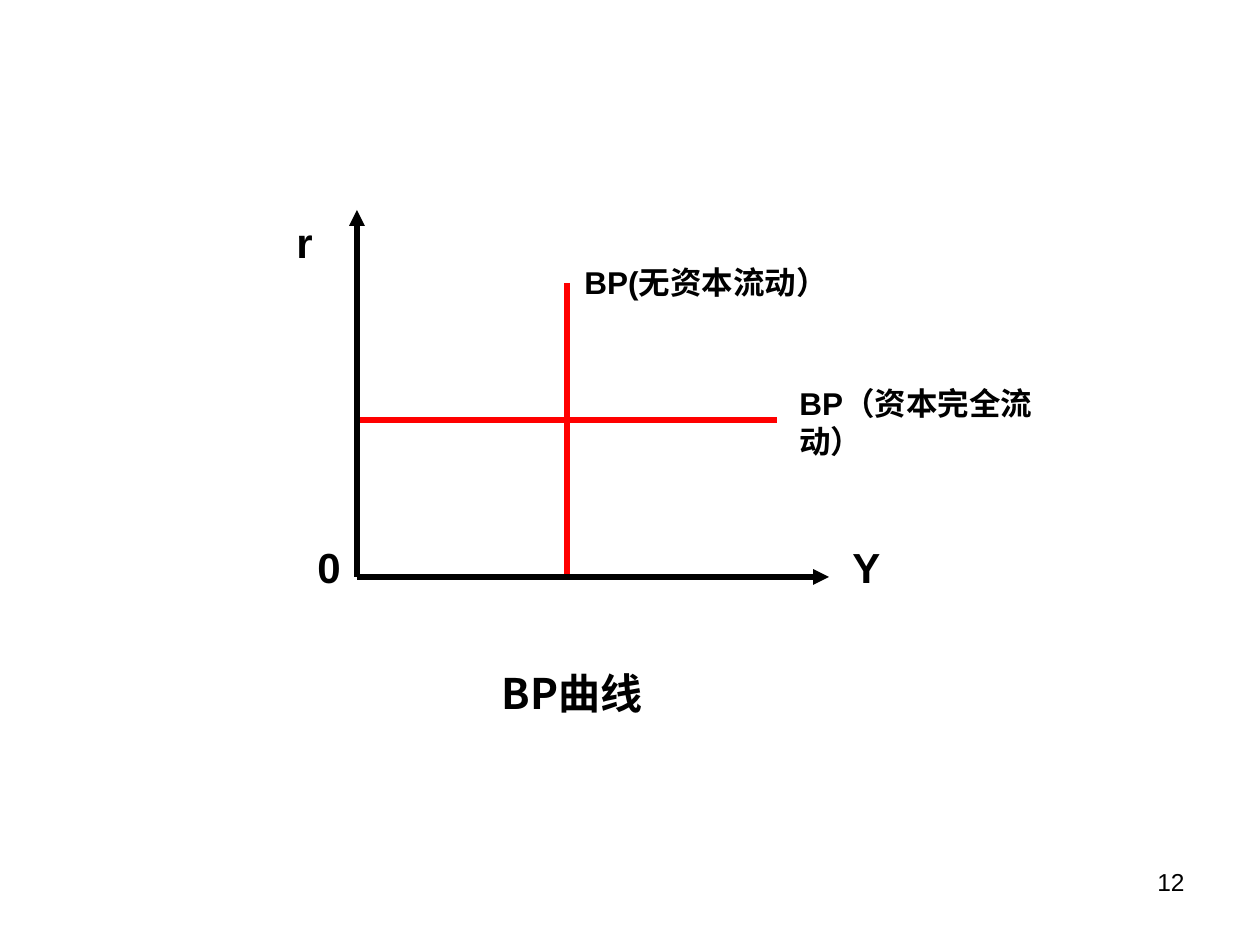
from pptx import Presentation
from pptx.dml.color import RGBColor
from pptx.enum.shapes import MSO_CONNECTOR
from pptx.enum.text import MSO_ANCHOR, MSO_AUTO_SIZE, PP_ALIGN
from pptx.oxml.ns import qn
from pptx.util import Emu, Pt
from lxml.etree import SubElement

BLACK = "000000"
RED = "FF0000"
CJK = "Noto Sans CJK SC"


def px(length):
    return Emu(round(length * 914400 / 126))


def color(value):
    return RGBColor.from_string(value)


def write(frame, text, size=24, font="Arial", bold=True, align=PP_ALIGN.LEFT, wrap=True):
    frame.word_wrap = wrap
    frame.auto_size = MSO_AUTO_SIZE.NONE
    frame.vertical_anchor = MSO_ANCHOR.TOP
    frame.margin_left = frame.margin_right = Pt(7.2)
    frame.margin_top = frame.margin_bottom = Pt(3.6)
    paragraph = frame.paragraphs[0]
    paragraph.alignment = align
    run = paragraph.add_run()
    run.text = text
    run.font.size = Pt(size)
    run.font.name = font
    run.font.bold = bold
    run.font.color.rgb = color(BLACK)
    SubElement(run.font._element, qn("a:ea"), typeface=CJK)


class Diagram:
    line_width = Pt(3)

    def __init__(self, slide):
        self.slide = slide

    def title(self, text, left, top, width, height, **style):
        heading = self.slide.shapes.title
        heading.left, heading.top = px(left), px(top)
        heading.width, heading.height = px(width), px(height)
        write(heading.text_frame, text, **style)

    def label(self, text, left, top, width, height, **style):
        box = self.slide.shapes.add_textbox(px(left), px(top), px(width), px(height))
        write(box.text_frame, text, **style)

    def line(self, start, end, shade, arrow=False):
        stroke = self.slide.shapes.add_connector(
            MSO_CONNECTOR.STRAIGHT, *map(px, start + end))
        stroke.line.width = self.line_width
        stroke.line.color.rgb = color(shade)
        if arrow:
            SubElement(stroke.line._get_or_add_ln(), qn("a:tailEnd"), type="triangle")
        SubElement(stroke._element.spPr, qn("a:effectLst"))


def main():
    deck = Presentation()
    deck.slide_width, deck.slide_height = px(1260), px(945)
    diagram = Diagram(deck.slides.add_slide(deck.slide_layouts[5]))

    origin_x, origin_y = 357, 577
    fixed_income, fixed_rate = 567, 420

    diagram.line((fixed_income, 283), (fixed_income, origin_y), RED)
    diagram.line((origin_x, fixed_rate), (777, fixed_rate), RED)
    diagram.line((origin_x, origin_y), (origin_x, 210), BLACK, arrow=True)
    diagram.line((origin_x, origin_y), (829, origin_y), BLACK, arrow=True)

    for name, left, top in (("r", 284, 210), ("Y", 840, 535), ("0", 305, 535)):
        diagram.label(name, left, top, 53, 63)
    diagram.label("BP(无资本流动）", 572, 257, 276, 50, size=18, wrap=False)
    diagram.label("BP（资本完全流动）", 787, 378, 315, 88, size=18)

    diagram.title("BP曲线", 441, 661, 262, 63, font=CJK, align=PP_ALIGN.CENTER)
    diagram.label("12", 903, 861, 294, 66, size=14, bold=False, align=PP_ALIGN.RIGHT)

    deck.save("out.pptx")


if __name__ == "__main__":
    main()
